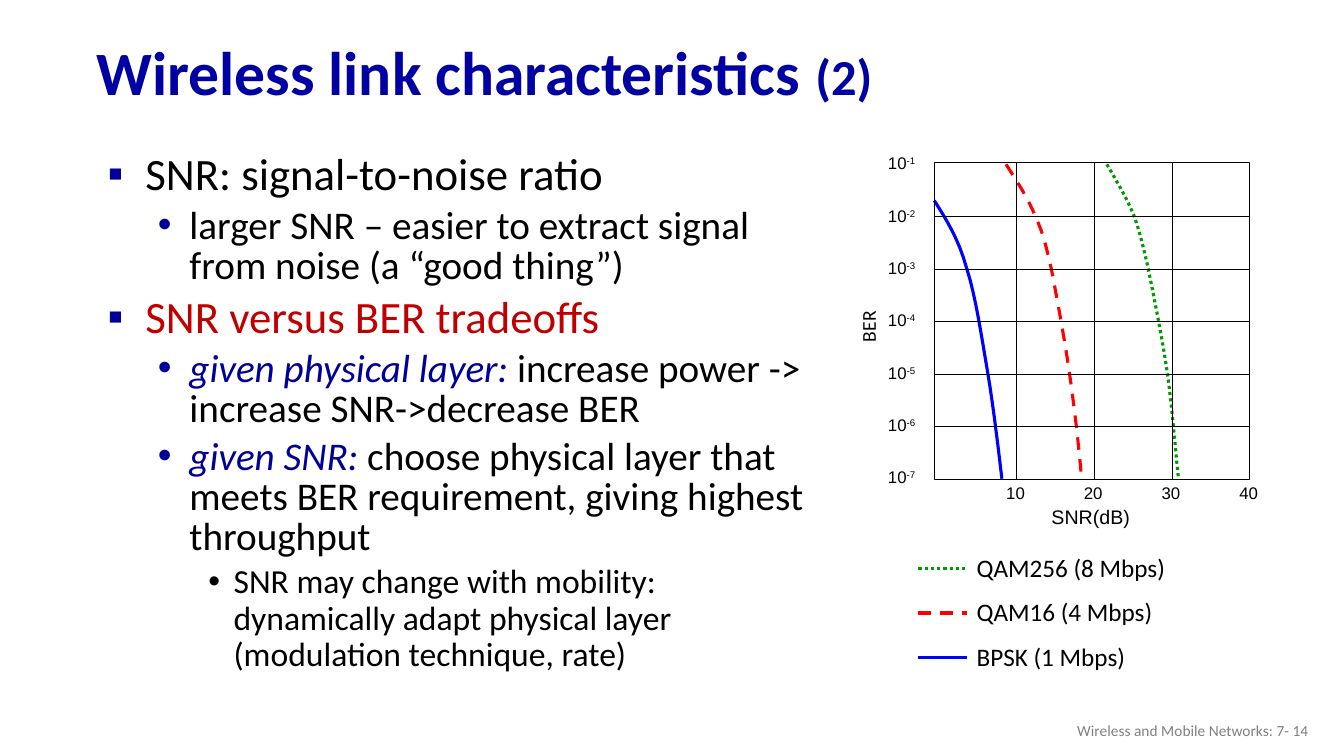
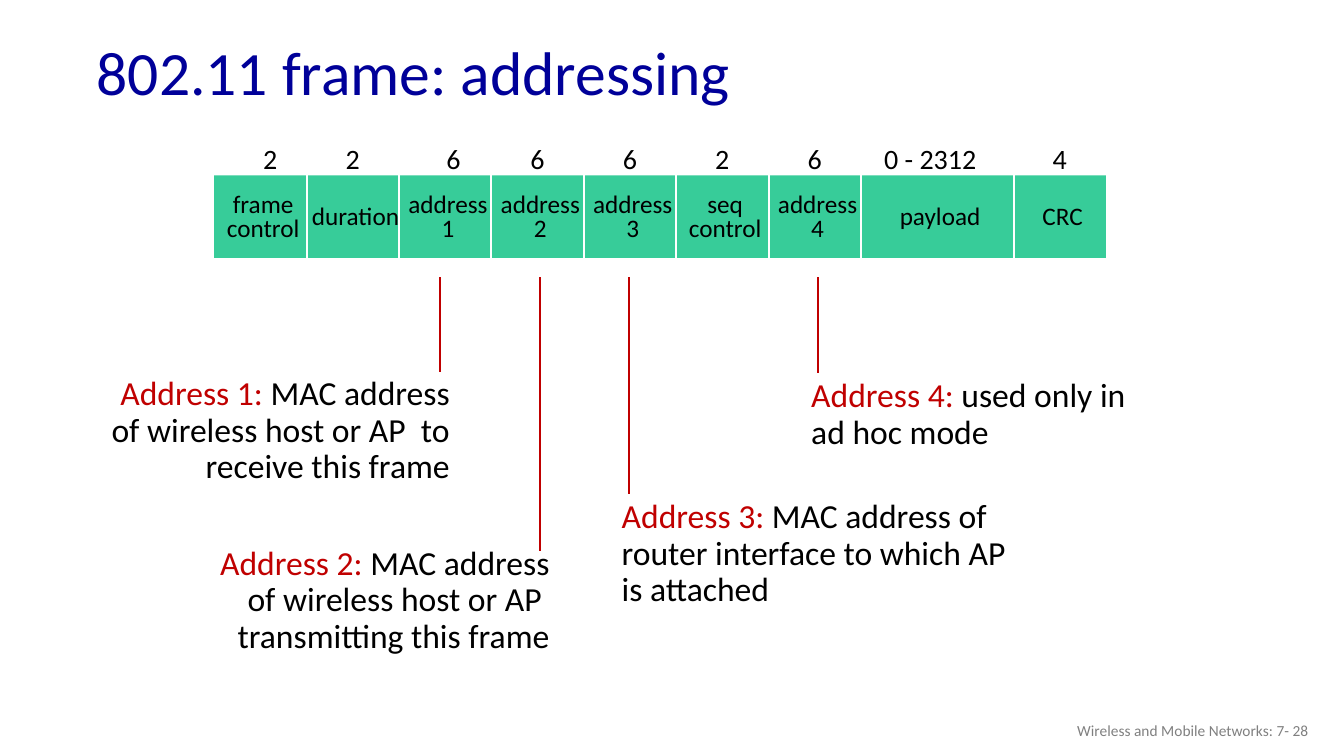
from dataclasses import dataclass

from lxml.etree import SubElement
from pptx import Presentation
from pptx.dml.color import RGBColor
from pptx.enum.dml import MSO_LINE
from pptx.enum.shapes import MSO_CONNECTOR, MSO_SHAPE
from pptx.enum.text import MSO_ANCHOR, PP_ALIGN
from pptx.oxml.ns import qn
from pptx.util import Pt


@dataclass(frozen=True)
class Theme:
    body_font: str = "Calibri"
    axis_font: str = "Arial"
    ink: str = "000000"
    title_bold: str = "0000A3"
    navy: str = "000099"
    accent: str = "C00000"
    footer: str = "808080"
    frame: str = "37CC99"
    divider: str = "FFFFFF"
    bpsk: str = "0000FF"
    qam16: str = "FF0000"
    qam256: str = "009900"
    title_size: int = 44
    title_suffix_size: int = 36
    level_sizes: tuple = (32, 28, 24)
    callout_size: int = 24
    byte_size: int = 20
    label_size: int = 18
    axis_title_size: int = 14
    tick_size: int = 12
    footer_size: int = 11


theme = Theme()


def write(slide, box, paragraphs, size, color=theme.ink, font=theme.body_font,
          align=PP_ALIGN.LEFT, anchor=MSO_ANCHOR.TOP, spacing=1.0, wrap=True):
    text_box = slide.shapes.add_textbox(*map(Pt, box))
    frame = text_box.text_frame
    frame.word_wrap = wrap
    if not wrap:
        frame.margin_left = frame.margin_right = Pt(0)
    frame.vertical_anchor = anchor
    for index, runs in enumerate(paragraphs):
        paragraph = frame.paragraphs[0] if index == 0 else frame.add_paragraph()
        paragraph.alignment = align
        paragraph.line_spacing = spacing
        for text, style in runs:
            run = paragraph.add_run()
            run.text = text
            run.font.name = font
            run.font.size = Pt(style.get("size", size))
            run.font.bold = style.get("bold", False)
            run.font.italic = style.get("italic", False)
            run.font.color.rgb = RGBColor.from_string(style.get("color", color))
            if "raised" in style:
                run.font._element.set("baseline", "30000")
    return text_box


def rule(slide, start, end, color, width, dash=None):
    line = slide.shapes.add_connector(MSO_CONNECTOR.STRAIGHT, *map(Pt, (*start, *end)))
    line.line.color.rgb = RGBColor.from_string(color)
    line.line.width = Pt(width)
    if dash:
        line.line.dash_style = dash
    SubElement(line._element.spPr, qn("a:effectLst"))


deck = Presentation()
deck.slide_width, deck.slide_height = Pt(960), Pt(540)

headings = [
    ([("Wireless link characteristics ", {"bold": True}),
      ("(2)", {"bold": True, "size": theme.title_suffix_size})], theme.title_bold, 14),
    ([("802.11 frame: addressing", {})], theme.navy, 28),
]
slides = []
for title, title_color, number in headings:
    slide = deck.slides.add_slide(deck.slide_layouts[6])
    write(slide, (62, 18.7, 828, 70.6), [title], theme.title_size, title_color,
          anchor=MSO_ANCHOR.MIDDLE, spacing=0.9)
    write(slide, (725.8, 507.6, 216, 28.8), [[(f"Wireless and Mobile Networks: 7- {number}", {})]],
          theme.footer_size, theme.footer, align=PP_ALIGN.RIGHT, anchor=MSO_ANCHOR.MIDDLE)
    slides.append(slide)
link_slide, frame_slide = slides

term = {"color": theme.navy, "italic": True}
points = [
    (0, [("SNR: signal-to-noise ratio", {})]),
    (1, [("larger SNR – easier to extract signal from noise (a “good thing”)", {})]),
    (0, [("SNR versus BER tradeoffs", {"color": theme.accent})]),
    (1, [("given physical layer:", term), (" increase power -> increase SNR->decrease BER", {})]),
    (1, [("given SNR:", term),
         (" choose physical layer that meets BER requirement, giving highest throughput", {})]),
    (2, [("SNR may change with mobility: dynamically adapt physical layer "
          "(modulation technique, rate)", {})]),
]
levels = [
    ("▪", 27, 27, 0.85, theme.navy),
    ("•", 58.5, 22.5, 0.85, theme.navy),
    ("•", 90, 18, 0.9, theme.ink),
]
sized_points = [[(text, {**style, "size": theme.level_sizes[level]}) for text, style in runs]
                for level, runs in points]
outline = write(link_slide, (69.8, 106.6, 512, 409), sized_points, theme.level_sizes[0])
for paragraph, (level, runs) in zip(outline.text_frame.paragraphs, points):
    mark, margin, hanging, spacing, mark_color = levels[level]
    paragraph.level = level
    paragraph.line_spacing = spacing
    paragraph.space_before = Pt(0.2 * theme.level_sizes[level])
    properties = paragraph._p.get_or_add_pPr()
    properties.set("marL", str(Pt(margin)))
    properties.set("indent", str(-Pt(hanging)))
    bullet_color = SubElement(properties, qn("a:buClr"))
    SubElement(bullet_color, qn("a:srgbClr"), val=mark_color)
    SubElement(properties, qn("a:buFont"), typeface=theme.axis_font)
    SubElement(properties, qn("a:buChar"), char=mark)

schemes = [
    ("QAM256 (8 Mbps)", theme.qam256, MSO_LINE.ROUND_DOT, [
        (790.6, 117.4), (797.8, 129.6), (805, 141.8), (810, 154.1),
        (814.3, 166.3), (815.8, 172.8), (820.1, 191.5),
        (823.7, 209.5), (830.2, 241.2), (833.8, 266.4),
        (837.4, 291.6), (840.2, 328.3), (841.7, 341.3)]),
    ("QAM16 (4 Mbps)", theme.qam16, MSO_LINE.DASH, [
        (718.6, 117.4), (726.5, 129.6), (734.4, 141.8), (739.4, 154.1),
        (745.2, 167), (746.6, 173.5), (751, 192.2),
        (754.6, 211), (760.3, 241.2), (763.9, 266.4),
        (767.5, 291.6), (770.4, 316.8), (772.6, 342)]),
    ("BPSK (1 Mbps)", theme.bpsk, MSO_LINE.SOLID, [
        (667.4, 143.3), (676.1, 157), (684.7, 170.6), (690.5, 191.5),
        (697, 211.7), (701.3, 241.2), (705.6, 266.4),
        (709.9, 291.6), (714.2, 329.8), (715.7, 342)]),
]
curve_steps = 8
for row, (scheme, color, dash, controls) in enumerate(schemes):
    curve_points = []
    for first in range(0, len(controls) - 1, 3):
        for step in range(1, curve_steps + 1):
            t = step / curve_steps
            weights = ((1 - t) ** 3, 3 * t * (1 - t) ** 2, 3 * t ** 2 * (1 - t), t ** 3)
            corner = controls[first:first + 4]
            curve_points.append(tuple(
                Pt(sum(weight * point[axis] for weight, point in zip(weights, corner)))
                for axis in (0, 1)))
    builder = link_slide.shapes.build_freeform(*map(Pt, controls[0]))
    builder.add_line_segments(curve_points, close=False)
    curve = builder.convert_to_shape()
    curve.shadow.inherit = False
    curve.fill.background()
    curve.line.color.rgb = RGBColor.from_string(color)
    curve.line.width = Pt(2.25)
    curve.line.dash_style = dash
    legend_y = 406.2 + 31.7 * row
    rule(link_slide, (656, legend_y), (690.5, legend_y), color, 2.25, dash)
    write(link_slide, (690.5, legend_y - 15.2, 170, 28.8), [[(scheme, {})]], theme.label_size)

plot_left, plot_top, plot_right, plot_bottom = 667.4, 116, 892.8, 342.7
plot = link_slide.shapes.add_shape(
    MSO_SHAPE.RECTANGLE,
    *map(Pt, (plot_left, plot_top, plot_right - plot_left, plot_bottom - plot_top)))
plot.shadow.inherit = False
plot.fill.background()
plot.line.color.rgb = RGBColor.from_string(theme.ink)
plot.line.width = Pt(0.75)
for row in range(5):
    y = 154.8 + 37.5 * row
    rule(link_slide, (plot_left, y), (plot_right, y), theme.ink, 0.75)
for column in range(4):
    x = 726.4 + 55.5 * column
    if column < 3:
        rule(link_slide, (x, plot_top), (x, plot_bottom), theme.ink, 0.75)
    write(link_slide, (x - 15, 341.3, 28, 21.6), [[(str(10 * (column + 1)), {})]],
          theme.tick_size, font=theme.axis_font, align=PP_ALIGN.CENTER, wrap=False)
for row in range(7):
    write(link_slide, (627.2, 105.8 + 37.4 * row, 40, 21.6),
          [[("10", {}), (f"-{row + 1}", {"raised": True})]],
          theme.tick_size, font=theme.axis_font)
write(link_slide, (743.8, 357.1, 70.6, 23.8), [[("SNR(dB)", {})]], theme.axis_title_size,
      font=theme.axis_font, align=PP_ALIGN.CENTER, wrap=False)
ber_title = write(link_slide, (601.2, 221, 38.2, 24.5), [[("BER", {})]], theme.axis_title_size,
                  align=PP_ALIGN.CENTER, wrap=False)
ber_title.rotation = 270

frame_left, frame_top, frame_height = 153, 125.3, 59
fields = [
    ("2", ["frame", "control"], 66, 7),
    ("2", ["duration"], 66, 0),
    ("6", ["address", "1"], 66, 6),
    ("6", ["address", "2"], 66, 0),
    ("6", ["address", "3"], 66, 0),
    ("2", ["seq", "control"], 66, 0),
    ("6", ["address", "4"], 66, 0),
    ("0 - 2312", ["payload"], 109, -5),
    ("4", ["CRC"], 66, 0),
]
frame_width = sum(width for _, _, width, _ in fields)
frame_strip = frame_slide.shapes.add_shape(
    MSO_SHAPE.RECTANGLE, *map(Pt, (frame_left, frame_top, frame_width, frame_height)))
frame_strip.shadow.inherit = False
frame_strip.fill.solid()
frame_strip.fill.fore_color.rgb = RGBColor.from_string(theme.frame)
frame_strip.line.fill.background()
field_left = frame_left
for byte_count, name_lines, width, byte_shift in fields:
    if field_left > frame_left:
        rule(frame_slide, (field_left, 123.8), (field_left, 187.2), theme.divider, 1.5)
    write(frame_slide, (field_left + byte_shift, 97.5, width, 31.7), [[(byte_count, {})]],
          theme.byte_size, align=PP_ALIGN.CENTER, wrap=False)
    write(frame_slide, (field_left + 2, 131.8, width, 48.2),
          [[(line, {})] for line in name_lines], theme.label_size,
          align=PP_ALIGN.CENTER, anchor=MSO_ANCHOR.MIDDLE, spacing=0.8, wrap=False)
    field_left += width

callouts = [
    ("Address 1: ", ["MAC address of wireless host or AP  to receive this frame"],
     (61.2, 265.7, 267.1, 85.7), PP_ALIGN.RIGHT, 314, 265.7),
    ("Address 2: ", ["MAC address", "of wireless host or AP ", "transmitting this frame"],
     (147.6, 386.9, 252, 85.7), PP_ALIGN.RIGHT, 386, 393.8),
    ("Address 3: ", ["MAC address of router interface to which AP is attached"],
     (437, 353.5, 303.8, 85.7), PP_ALIGN.LEFT, 449.5, 352.8),
    ("Address 4: ", ["used only in ad hoc mode"],
     (572.4, 267.1, 254.9, 59.8), PP_ALIGN.LEFT, 584.6, 266.4),
]
for label, meaning, box, align, pointer_x, pointer_end in callouts:
    paragraphs = [[(line, {})] for line in meaning]
    paragraphs[0].insert(0, (label, {"color": theme.accent}))
    write(frame_slide, box, paragraphs, theme.callout_size, align=align, spacing=0.9)
    rule(frame_slide, (pointer_x, 198), (pointer_x, pointer_end), theme.accent, 1.5)

deck.save("out.pptx")
